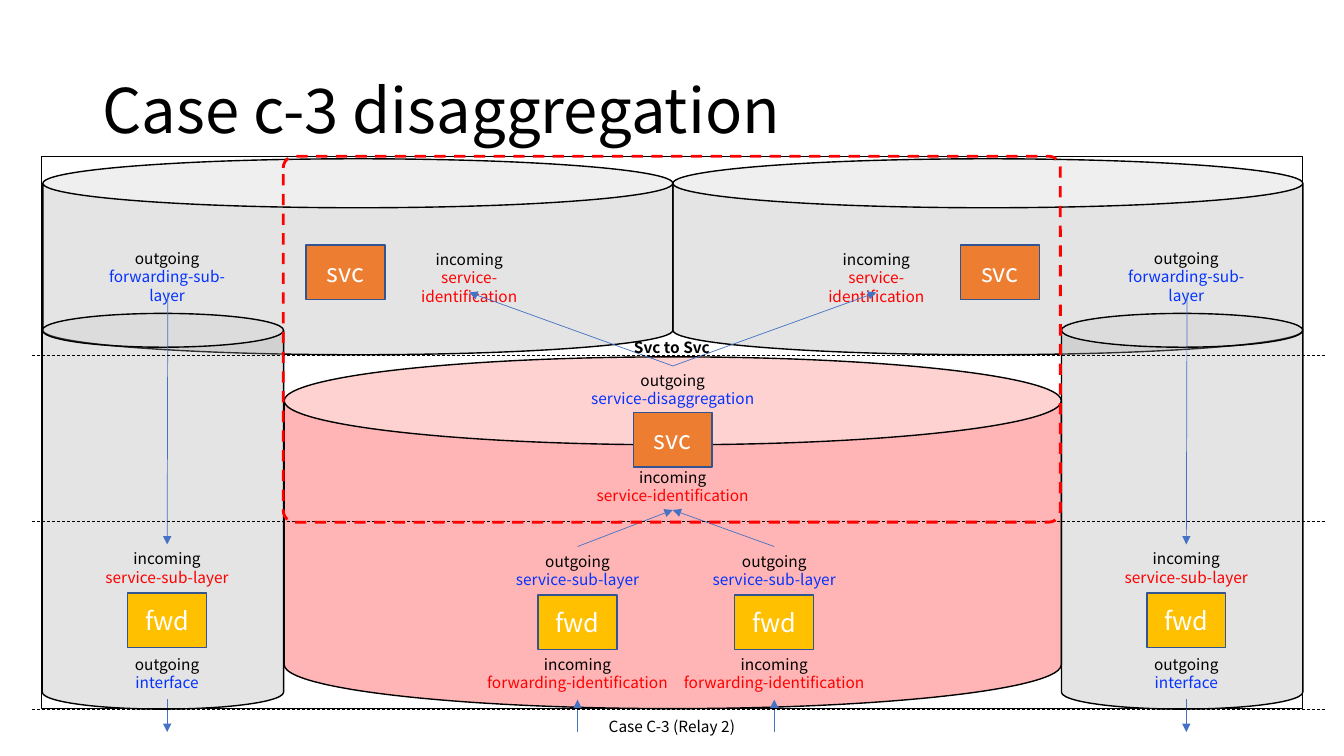
from lxml import etree
from pptx import Presentation
from pptx.dml.color import RGBColor
from pptx.enum.dml import MSO_LINE
from pptx.enum.shapes import MSO_CONNECTOR, MSO_SHAPE as Kind
from pptx.enum.text import MSO_ANCHOR as Anchor, PP_ALIGN as Align
from pptx.oxml.ns import qn
from pptx.util import Pt

FONT = "Noto Sans CJK KR"
BLACK, WHITE, RED, BLUE = "000000", "FFFFFF", "FF0000", "0432FF"
GREY, ORANGE, YELLOW = "A5A5A5", "ED7D31", "FFC000"
ARROW, BLOCK_EDGE = "4472C4", "325491"
BLOCK_W, BLOCK_H = 56.4, 39
LABEL_H = 33.8


def color(value):
    return RGBColor.from_string(value)


def add_span(para, text, size, shade, bold=False):
    span = para.add_run()
    span.text = text
    span.font.name = FONT
    span.font.size = Pt(size)
    span.font.bold = bold
    span.font.color.rgb = color(shade)


def add_text(page, box, lines, size=11, align=Align.CENTER, anchor=Anchor.TOP, bold=False):
    frame = page.shapes.add_textbox(*map(Pt, box)).text_frame
    frame.word_wrap = True
    frame.vertical_anchor = anchor
    for index, (text, shade) in enumerate(lines):
        para = frame.add_paragraph() if index else frame.paragraphs[0]
        para.alignment = align
        add_span(para, text, size, shade, bold)
    return frame


def add_figure(page, kind, box, fill=None, edge=BLACK, weight=1, alpha=None, adjust=None):
    figure = page.shapes.add_shape(kind, *map(Pt, box))
    figure.shadow.inherit = False
    figure.line.color.rgb = color(edge)
    figure.line.width = Pt(weight)
    if adjust is not None:
        figure.adjustments[0] = adjust
    if fill is None:
        figure.fill.background()
    else:
        figure.fill.solid()
        figure.fill.fore_color.rgb = color(fill)
    if alpha is not None:
        shade = figure.fill._xPr.find(qn("a:solidFill"))[0]
        etree.SubElement(shade, qn("a:alpha"), val=str(alpha * 1000))
    return figure


def add_can(page, box, fill=GREY, adjust=0.25):
    add_figure(page, Kind.CAN, box, fill, alpha=29, adjust=adjust)


def add_block(page, center, top, text, fill):
    box = (center - BLOCK_W / 2, top, BLOCK_W, BLOCK_H)
    frame = add_figure(page, Kind.RECTANGLE, box, fill, BLOCK_EDGE).text_frame
    frame.vertical_anchor = Anchor.MIDDLE
    para = frame.paragraphs[0]
    para.alignment = Align.CENTER
    add_span(para, text, 18, WHITE)


def add_label(page, center, top, direction, target, width=145.4):
    shade = RED if direction == "incoming" else BLUE
    box = (center - width / 2, top, width, LABEL_H)
    add_text(page, box, [(direction, BLACK), (target, shade)])


def add_line(page, start, end, shade=ARROW):
    line = page.shapes.add_connector(MSO_CONNECTOR.STRAIGHT, *map(Pt, start + end))
    line.line.color.rgb = color(shade)
    line.line.width = Pt(0.5)
    etree.SubElement(line._element.spPr, qn("a:effectLst"))
    return line


def add_arrow(page, start, end):
    arrow = add_line(page, start, end)
    etree.SubElement(arrow.line._get_or_add_ln(), qn("a:tailEnd"), type="triangle")


def draw_title(page, box):
    lines = [("Case c-3 disaggregation", BLACK)]
    frame = add_text(page, box, lines, 44, Align.LEFT, Anchor.MIDDLE)
    frame.paragraphs[0].line_spacing = 0.9


def draw_relay(page, left, top, width, height):
    axis = left + width / 2
    add_can(page, (left, top, width, height), RED)
    add_label(page, axis, top + 6.5, "outgoing", "service-disaggregation")
    add_block(page, axis, top + 39.6, "svc", ORANGE)
    add_label(page, axis, top + 75.6, "incoming", "service-identification")
    for offset in (-68, 72.5):
        center = axis + offset
        add_arrow(page, (center, top + 135.5), (axis, top + 109.4))
        add_label(page, center, top + 135.7, "outgoing", "service-sub-layer")
        add_block(page, center, top + 170, "fwd", YELLOW)
        add_label(page, center, top + 209.2, "incoming", "forwarding-identification")
        add_arrow(page, (center, top + 267.8), (center, top + 244.8))


def draw_service(page, left, top, width, height, side):
    add_can(page, (left, top, width, height))
    inner = left + width if side < 0 else left
    label_center = inner + side * 145.4
    add_block(page, inner + side * 233.7, top + 61.6, "svc", ORANGE)
    add_label(page, label_center, top + 61.6, "incoming", "service-identification", 119.5)
    add_arrow(page, (inner, top + 148), (label_center, top + 95.5))


def draw_forwarder(page, left, top, width, height):
    axis = left + width / 2 + 3
    add_can(page, (left, top, width, height), adjust=0.14)
    add_label(page, axis, top - 49.5, "outgoing", "forwarding-sub-layer", 122)
    add_arrow(page, (axis + 0.5, top - 15), (axis, top + 165))
    add_label(page, axis, top + 165, "incoming", "service-sub-layer")
    add_block(page, axis, top + 199.8, "fwd", YELLOW)
    add_label(page, axis, top + 240.5, "outgoing", "interface")
    add_arrow(page, (axis, top + 275.5), (axis, top + 299))


def draw_borders(page, left, top, width, height):
    add_figure(page, Kind.RECTANGLE, (left, top, width, height))
    for offset in (142.6, 260.6, 395.2):
        start = (left - 6.7, top + offset)
        end = (left + width + 16, top + offset)
        add_line(page, start, end, BLACK).line.dash_style = MSO_LINE.DASH
    scope_box = (left + 172.8, top, 555.1, 261.4)
    scope = add_figure(page, Kind.ROUNDED_RECTANGLE, scope_box, None, RED, 2, adjust=0.032)
    scope.line.dash_style = MSO_LINE.DASH
    caption_left = left + width / 2 - 61.2
    add_text(page, (caption_left, top + 126.7, 122.4, 20.6), [("Svc to Svc", BLACK)], bold=True)
    add_text(page, (caption_left, top + 397.4, 122.4, 20.6), [("Case C-3 (Relay 2)", BLACK)])


deck = Presentation()
deck.slide_width, deck.slide_height = Pt(960), Pt(540)
page = deck.slides.add_slide(deck.slide_layouts[6])
draw_title(page, (66.2, 28.8, 828, 104.4))
draw_relay(page, 203, 254.9, 555.1, 251.3)
draw_service(page, 30.6, 113.4, 450, 140, -1)
draw_service(page, 480.6, 113.4, 450, 140, 1)
draw_forwarder(page, 30.2, 223.9, 172.4, 282.6)
draw_forwarder(page, 758.2, 223.9, 172.4, 282.6)
draw_borders(page, 29.5, 111.6, 900.9, 394.7)
deck.save("out.pptx")
